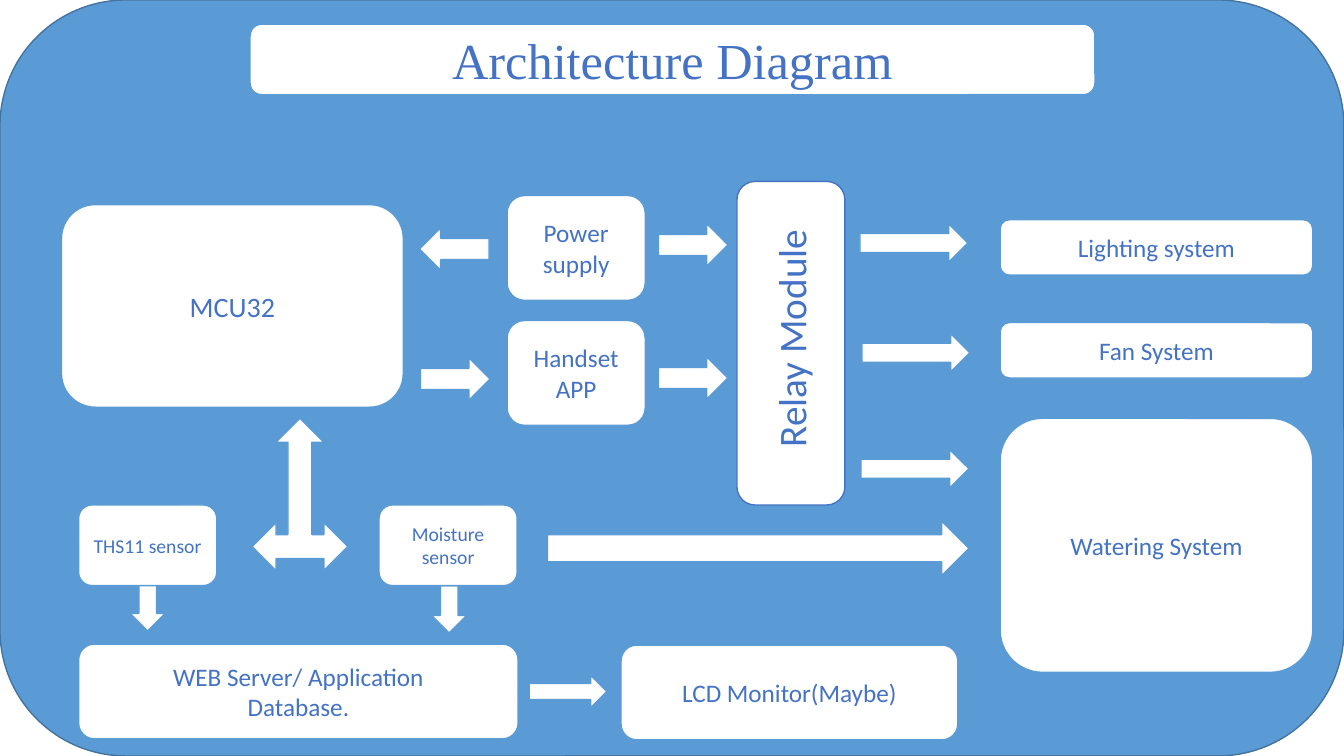
from pptx import Presentation
from pptx.dml.color import RGBColor
from pptx.enum.shapes import MSO_SHAPE
from pptx.enum.text import MSO_ANCHOR, MSO_AUTO_SIZE, PP_ALIGN
from pptx.util import Inches, Pt

ROUNDED = MSO_SHAPE.ROUNDED_RECTANGLE
RIGHT = MSO_SHAPE.RIGHT_ARROW
DOWN = MSO_SHAPE.DOWN_ARROW
THREE_WAY = MSO_SHAPE.LEFT_RIGHT_UP_ARROW
CENTER = PP_ALIGN.CENTER
MIDDLE = MSO_ANCHOR.MIDDLE
GROW = MSO_AUTO_SIZE.SHAPE_TO_FIT_TEXT

WHITE = RGBColor(0xFF, 0xFF, 0xFF)
SKY = RGBColor(0x5B, 0x9B, 0xD5)
NAVY = RGBColor(0x43, 0x73, 0x9E)
BLUE = RGBColor(0x44, 0x72, 0xC4)

BODY_FONT = "Calibri"
TITLE_FONT = "Times New Roman"
SLIDE_SIZE = (13.33, 7.5)

TITLE = "Architecture Diagram"
TITLE_AREA = (2.48, 0.24, 8.38, 0.7)
RELAY = "Relay Module"
RELAY_AREA = (7.31, 1.8, 1.07, 3.21)
RELAY_LABEL_SIZE = (4.25, 0.57)
RELAY_LABEL_CENTER_Y = 2.41

# Left edge and width shared by the boxes of a column
OUTPUT_X, OUTPUT_W = 9.92, 3.1
SOURCE_X, SOURCE_W, SOURCE_H = 5.03, 1.37, 1.04
SENSOR_Y, SENSOR_W, SENSOR_H = 5.01, 1.37, 0.8
LEFT_X = 0.78

# lines, area, text size
BOXES = [
    (["MCU32"], (0.61, 2.03, 3.39, 2.01), 20),
    (["Power supply"], (SOURCE_X, 1.94, SOURCE_W, SOURCE_H), 18),
    (["Handset APP"], (SOURCE_X, 3.18, SOURCE_W, SOURCE_H), 18),
    (["Lighting system"], (OUTPUT_X, 2.18, OUTPUT_W, 0.55), 18),
    (["Fan System"], (OUTPUT_X, 3.2, OUTPUT_W, 0.55), 18),
    (["Watering System"], (OUTPUT_X, 4.15, OUTPUT_W, 2.52), 18),
    (["THS11 sensor"], (LEFT_X, SENSOR_Y, SENSOR_W, SENSOR_H), 14),
    (["Moisture sensor"], (3.76, SENSOR_Y, SENSOR_W, SENSOR_H), 14),
    (["WEB Server/ Application", "Database."], (LEFT_X, 6.39, 4.36, 0.94), 18),
    (["LCD Monitor(Maybe)"], (6.16, 6.4, 3.34, 0.94), 18),
]

SHORT = (0.69, 0.42)
TO_OUTPUT = (1.07, 0.38)
TO_SERVER = (0.35, 0.47)

# preset, left and top, size, rotation
ARROWS = [
    (RIGHT, (4.16, 2.26), SHORT, 180),
    (RIGHT, (4.17, 3.55), SHORT, 0),
    (RIGHT, (6.53, 2.22), SHORT, 0),
    (RIGHT, (6.53, 3.54), SHORT, 0),
    (RIGHT, (8.53, 2.22), TO_OUTPUT, 0),
    (RIGHT, (8.55, 3.31), TO_OUTPUT, 0),
    (RIGHT, (8.54, 4.46), TO_OUTPUT, 0),
    (RIGHT, (5.43, 5.17), (4.18, 0.54), 0),
    (RIGHT, (5.25, 6.7), (0.77, 0.32), 0),
    (DOWN, (1.29, 5.79), TO_SERVER, 0),
    (DOWN, (4.28, 5.81), TO_SERVER, 0),
    (THREE_WAY, (2.5, 4.15), (0.95, 1.51), 0),
]


def add_panel(slide, preset, area, fill=WHITE, line=SKY):
    panel = slide.shapes.add_shape(preset, *map(Inches, area))
    panel.shadow.inherit = False
    panel.fill.solid()
    panel.fill.fore_color.rgb = fill
    panel.line.color.rgb = line
    panel.line.width = Pt(1)
    return panel


def write(paragraph, text, size, font=BODY_FONT):
    run = paragraph.add_run()
    run.text = text
    run.font.size = Pt(size)
    run.font.name = font
    run.font.color.rgb = BLUE


def add_box(slide, lines, area, size, font=BODY_FONT):
    frame = add_panel(slide, ROUNDED, area).text_frame
    frame.word_wrap = True
    frame.vertical_anchor = MIDDLE
    for index, line in enumerate(lines):
        paragraph = frame.add_paragraph() if index else frame.paragraphs[0]
        paragraph.alignment = CENTER
        write(paragraph, line, size, font)


def add_relay(slide):
    """Add the relay box with its label reading upwards."""
    add_panel(slide, ROUNDED, RELAY_AREA, line=BLUE)
    left, _, box_width, _ = RELAY_AREA
    width, height = RELAY_LABEL_SIZE
    label_left = left + (box_width - width) / 2
    label_top = RELAY_LABEL_CENTER_Y - height / 2
    label = slide.shapes.add_textbox(*map(Inches, (label_left, label_top, width, height)))
    label.rotation = 270
    label.text_frame.word_wrap = True
    label.text_frame.auto_size = GROW
    write(label.text_frame.paragraphs[0], RELAY, 28)


def main():
    deck = Presentation()
    deck.slide_width, deck.slide_height = map(Inches, SLIDE_SIZE)
    slide = deck.slides.add_slide(deck.slide_layouts[6])

    add_panel(slide, ROUNDED, (0, 0, *SLIDE_SIZE), SKY, NAVY)
    add_box(slide, [TITLE], TITLE_AREA, 36, TITLE_FONT)
    add_relay(slide)
    for preset, corner, size, rotation in ARROWS:
        add_panel(slide, preset, corner + size).rotation = rotation
    for lines, area, size in BOXES:
        add_box(slide, lines, area, size)

    deck.save("out.pptx")


if __name__ == "__main__":
    main()
